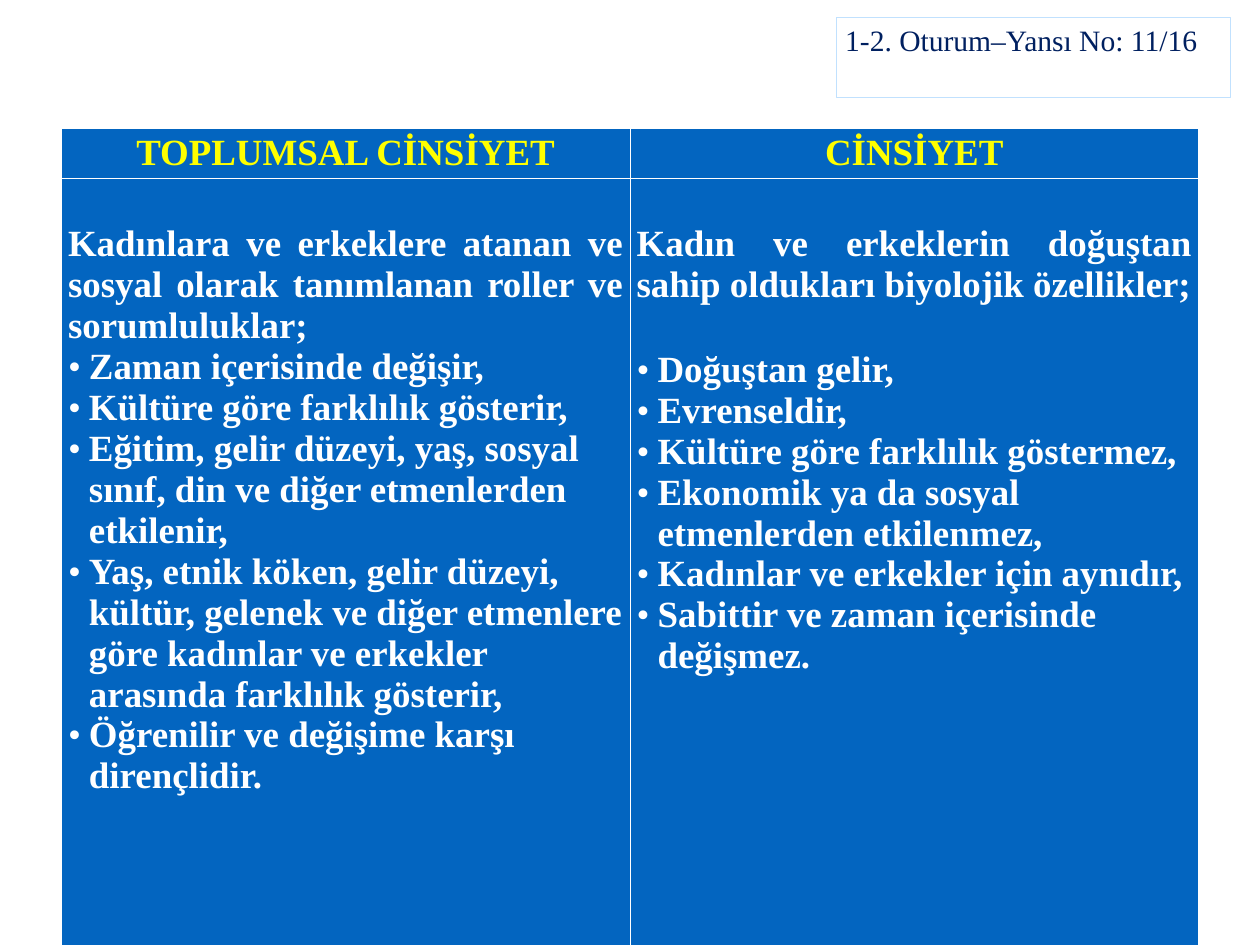
from dataclasses import dataclass

from lxml.etree import SubElement as Sub
from pptx import Presentation as Deck
from pptx.dml.color import RGBColor as Color
from pptx.enum.shapes import MSO_SHAPE as Shape
from pptx.enum.text import MSO_ANCHOR as Anchor, PP_ALIGN as Align
from pptx.oxml import parse_xml
from pptx.oxml.ns import nsdecls, qn
from pptx.util import Cm, Pt


@dataclass(frozen=True)
class Theme:
    font: str = "Times New Roman"
    blue: str = "0365C0"
    white: str = "FFFFFF"
    yellow: str = "FFFF00"
    navy: str = "002060"
    frame: str = "C1E1FE"
    body: int = 30
    label: int = 24
    thin: float = 0.45
    thick: float = 1.47


@dataclass(frozen=True)
class Column:
    title: str
    intro: str
    points: tuple[str, ...]
    gap: float = 0  # points of space between intro and list


THEME = Theme()
COLUMNS = (
    Column(
        "TOPLUMSAL CİNSİYET",
        "Kadınlara ve erkeklere atanan ve sosyal olarak tanımlanan roller ve sorumluluklar;",
        (
            "Zaman içerisinde değişir,",
            "Kültüre göre farklılık gösterir,",
            "Eğitim, gelir düzeyi, yaş, sosyal sınıf, din ve diğer etmenlerden etkilenir,",
            "Yaş, etnik köken, gelir düzeyi, kültür, gelenek ve diğer etmenlere göre "
            "kadınlar ve erkekler arasında farklılık gösterir,",
            "Öğrenilir ve değişime karşı dirençlidir.",
        ),
    ),
    Column(
        "CİNSİYET",
        "Kadın ve erkeklerin doğuştan sahip oldukları biyolojik özellikler;",
        (
            "Doğuştan gelir,",
            "Evrenseldir,",
            "Kültüre göre farklılık göstermez,",
            "Ekonomik ya da sosyal etmenlerden etkilenmez,",
            "Kadınlar ve erkekler için aynıdır,",
            "Sabittir ve zaman içerisinde değişmez.",
        ),
        gap=35.5,
    ),
)


def style(para, size: int, color: str, bold: bool = False) -> None:
    for run in para.runs:
        font = run.font
        font.name, font.size, font.bold = THEME.font, Pt(size), bold
        font.color.rgb = Color.from_string(color)


def bullet(para) -> None:
    props = para._p.get_or_add_pPr()
    props.set("marL", str(Cm(0.6)))
    props.set("indent", str(-Cm(0.6)))
    tint = Sub(props, qn("a:buClr"))
    Sub(tint, qn("a:srgbClr"), val=THEME.white)
    Sub(props, qn("a:buFont"), typeface=THEME.font)
    Sub(props, qn("a:buChar"), char="•")


def dress(cell, top: float, upper: float, lower: float) -> None:
    """Set the fill, the margins and the white borders of a cell."""
    cell.fill.solid()
    cell.fill.fore_color.rgb = Color.from_string(THEME.blue)
    cell.margin_left = cell.margin_right = Cm(0.19)
    cell.margin_top, cell.margin_bottom = Cm(top), Cm(0.13)
    cell.vertical_anchor = Anchor.TOP
    sides = {"L": THEME.thin, "R": THEME.thin, "T": upper, "B": lower}
    for spot, (side, width) in enumerate(sides.items()):
        line = parse_xml(
            f'<a:ln{side} {nsdecls("a")} w="{Pt(width)}"><a:solidFill>'
            f'<a:srgbClr val="{THEME.white}"/></a:solidFill></a:ln{side}>'
        )
        cell._tc.tcPr.insert(spot, line)


def fill_head(cell, col: Column) -> None:
    dress(cell, 0.13, THEME.thin, THEME.thick)
    para = cell.text_frame.paragraphs[0]
    para.text = col.title
    para.alignment = Align.CENTER
    style(para, THEME.body, THEME.yellow, True)


def fill_body(cell, col: Column) -> None:
    dress(cell, 1.3, THEME.thick, THEME.thin)
    frame = cell.text_frame
    frame.text = "\n".join((col.intro, *col.points))
    intro, *points = frame.paragraphs
    intro.alignment = Align.JUSTIFY
    for para in points:
        para.alignment = Align.LEFT
        bullet(para)
    points[0].space_before = Pt(col.gap)
    for para in frame.paragraphs:
        style(para, THEME.body, THEME.white, True)


def add_label(slide, text: str) -> None:
    box = slide.shapes.add_shape(Shape.RECTANGLE, Cm(23.98), Cm(0.5), Cm(11.28), Cm(2.29))
    box.shadow.inherit = False
    box.fill.background()
    box.line.color.rgb = Color.from_string(THEME.frame)
    box.line.width = Pt(0.25)
    frame = box.text_frame
    frame.word_wrap = True
    frame.vertical_anchor = Anchor.TOP
    frame.text = text
    para = frame.paragraphs[0]
    para.alignment = Align.LEFT
    style(para, THEME.label, THEME.navy)


def add_grid(slide) -> None:
    wide, heights = 16.3, (1.42, 21.98)
    grid = slide.shapes.add_table(
        2, len(COLUMNS), Cm(1.76), Cm(3.68), Cm(wide * len(COLUMNS)), Cm(sum(heights))
    ).table
    for row, height in zip(grid.rows, heights):
        row.height = Cm(height)
    for spot, col in enumerate(COLUMNS):
        grid.columns[spot].width = Cm(wide)
        fill_head(grid.cell(0, spot), col)
        fill_body(grid.cell(1, spot), col)


def main() -> None:
    deck = Deck()
    deck.slide_width, deck.slide_height = Cm(36.12), Cm(27.08)
    slide = deck.slides.add_slide(deck.slide_layouts[6])
    # Comparison table
    add_grid(slide)
    # Session label
    add_label(slide, "1-2. Oturum–Yansı No: 11/16")
    deck.save("out.pptx")


if __name__ == "__main__":
    main()
